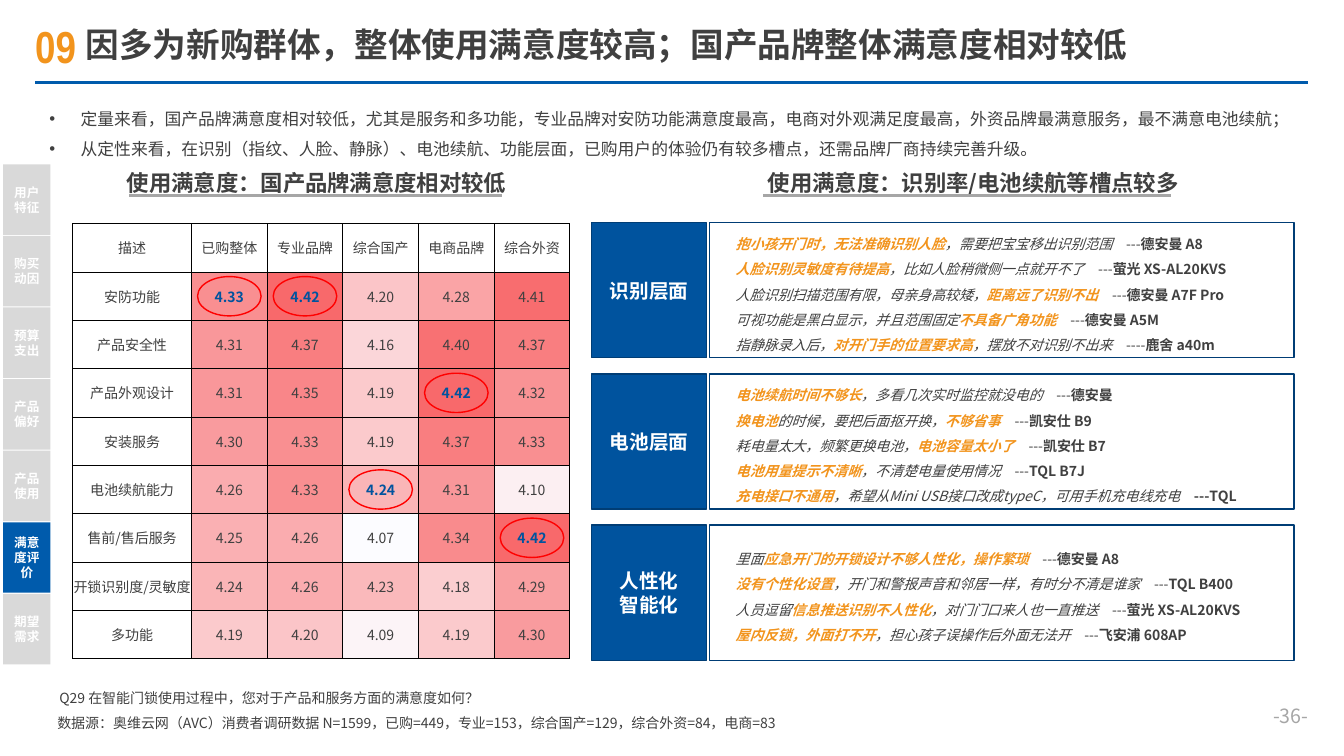
from lxml.etree import SubElement
from pptx import Presentation
from pptx.dml.color import RGBColor
from pptx.enum.shapes import MSO_CONNECTOR, MSO_SHAPE
from pptx.enum.text import MSO_ANCHOR, MSO_AUTO_SIZE, PP_ALIGN
from pptx.oxml.ns import qn
from pptx.util import Inches, Pt

SLIDE_W, SLIDE_H = Inches(13.333), Inches(7.5)
FONT = "Noto Sans CJK SC"
INK, ORANGE, BLUE, NAVY, EDGE = "404040", "F2941D", "005BAC", "00539E", "003D75"
GREY, PALE, WHITE = "A6A6A6", "D9D9D9", "FFFFFF"
LOW, HIGH = (4.07, "FCFCFF"), (4.42, "F8696B")

TABLE_LEFT, TABLE_TOP, TOPIC_W, SCORE_W, ROW_H = 5.4, 29.6, 8.85, 5.63, 6.39
RING_W, RING_H = 4.73, 5.2
PANEL_TOP, PANEL_PITCH, PANEL_H = 29.47, 20, 17.87
TAB_TOP, TAB_PITCH, TAB_H = 21.73, 9.47, 9.33

FINDINGS = [
    "定量来看，国产品牌满意度相对较低，尤其是服务和多功能，专业品牌对安防功能满意度最高，电商对外观满足度最高，外资品牌最满意服务，最不满意电池续航；",
    "从定性来看，在识别（指纹、人脸、静脉）、电池续航、功能层面，已购用户的体验仍有较多槽点，还需品牌厂商持续完善升级。",
]
CHAPTERS = ["用户特征", "购买动因", "预算支出", "产品偏好", "产品使用", "满意度评价", "期望需求"]
CURRENT_CHAPTER = "满意度评价"
BRAND_GROUPS = ["描述", "已购整体", "专业品牌", "综合国产", "电商品牌", "综合外资"]
SCORES = [
    ("安防功能", 4.33, 4.42, 4.20, 4.28, 4.41),
    ("产品安全性", 4.31, 4.37, 4.16, 4.40, 4.37),
    ("产品外观设计", 4.31, 4.35, 4.19, 4.42, 4.32),
    ("安装服务", 4.30, 4.33, 4.19, 4.37, 4.33),
    ("电池续航能力", 4.26, 4.33, 4.24, 4.31, 4.10),
    ("售前/售后服务", 4.25, 4.26, 4.07, 4.34, 4.42),
    ("开锁识别度/灵敏度", 4.24, 4.26, 4.23, 4.18, 4.29),
    ("多功能", 4.19, 4.20, 4.09, 4.19, 4.30),
]
RINGED = [(1, 1), (1, 2), (5, 3), (3, 4), (6, 5)]
OPINIONS = [
    (["识别层面"], [
        ("*抱小孩开门时，无法准确识别人脸*，需要把宝宝移出识别范围", "---", "德安曼 A8"),
        ("*人脸识别灵敏度有待提高*，比如人脸稍微侧一点就开不了", "---", "萤光 XS-AL20KVS"),
        ("人脸识别扫描范围有限，母亲身高较矮，*距离远了识别不出*", "---", "德安曼 A7F Pro"),
        ("可视功能是黑白显示，并且范围固定*不具备广角功能*", "---", "德安曼 A5M"),
        ("指静脉录入后，*对开门手的位置要求高*，摆放不对识别不出来", "----", "鹿舍 a40m"),
    ]),
    (["电池层面"], [
        ("*电池续航时间不够长*，多看几次实时监控就没电的", "---", "德安曼"),
        ("*换电池*的时候，要把后面抠开换，*不够省事*", "---", "凯安仕 B9"),
        ("耗电量太大，频繁更换电池，*电池容量太小了*", "---", "凯安仕 B7"),
        ("*电池用量提示不清晰*，不清楚电量使用情况", "---", "TQL B7J"),
        ("*充电接口不通用*，希望从Mini USB接口改成typeC，可用手机充电线充电", "", "---TQL"),
    ]),
    (["人性化", "智能化"], [
        ("里面*应急开门的开锁设计不够人性化，操作繁琐*", "---", "德安曼 A8"),
        ("*没有个性化设置*，开门和警报声音和邻居一样，有时分不清是谁家", "---", "TQL B400"),
        ("人员逗留*信息推送识别不人性化*，对门门口来人也一直推送", "---", "萤光 XS-AL20KVS"),
        ("*屋内反锁，外面打不开*，担心孩子误操作后外面无法开", "---", "飞安浦 608AP"),
    ]),
]


def across(share):
    return int(SLIDE_W * share / 100)


def down(share):
    return int(SLIDE_H * share / 100)


def area(left, top, width, height):
    return across(left), down(top), across(width), down(height)


def colour(value):
    return RGBColor.from_string(value)


def write(frame, paragraphs, size, ink=INK, bold=False, face=FONT, **layout):
    for index, parts in enumerate(paragraphs):
        paragraph = frame.paragraphs[0] if index == 0 else frame.add_paragraph()
        for key, value in layout.items():
            setattr(paragraph, key, value)
        for words, changes in [(parts, {})] if isinstance(parts, str) else parts:
            run = paragraph.add_run()
            run.text = words
            look = {"size": Pt(size), "bold": bold, "name": face, "ink": ink, **changes}
            run.font.color.rgb = colour(look.pop("ink"))
            for key, value in look.items():
                setattr(run.font, key, value)
            SubElement(run.font._element, qn("a:ea"), typeface=face)


def set_frame(frame, anchor=MSO_ANCHOR.TOP, wrap=True):
    settings = {"vertical_anchor": anchor, "word_wrap": wrap, "auto_size": MSO_AUTO_SIZE.NONE}
    for key, value in settings.items():
        setattr(frame, key, value)
    return frame


def add_label(slide, place, paragraphs, size, anchor=MSO_ANCHOR.TOP, wrap=True, **look):
    label = slide.shapes.add_textbox(*area(*place))
    write(set_frame(label.text_frame, anchor, wrap), paragraphs, size, **look)


def fill_placeholder(holder, place, paragraphs, size, anchor, **look):
    for key, value in zip(("left", "top", "width", "height"), area(*place)):
        setattr(holder, key, value)
    write(set_frame(holder.text_frame, anchor), paragraphs, size, **look)


def add_bullets(frame):
    for paragraph in frame.paragraphs:
        properties = paragraph._p.get_or_add_pPr()
        for key, value in {"marL": Inches(0.31), "indent": -Inches(0.31)}.items():
            properties.set(key, str(value))
        SubElement(properties, qn("a:buFont"), typeface="Arial")
        SubElement(properties, qn("a:buChar"), char="•")


def add_rule(slide, left, right, level, ink):
    rule = slide.shapes.add_connector(
        MSO_CONNECTOR.STRAIGHT, across(left), down(level), across(right), down(level))
    rule.line.color.rgb = colour(ink)
    rule.line.width = Pt(2.25)
    SubElement(rule._element.spPr, qn("a:effectLst"))


def add_block(shapes, kind, place, fill=None, edge=None, paragraphs=(), size=14):
    block = shapes.add_shape(kind, *area(*place))
    block.shadow.inherit = False
    if fill:
        block.fill.solid()
        block.fill.fore_color.rgb = colour(fill)
    else:
        block.fill.background()
    if edge:
        block.line.color.rgb = colour(edge)
        block.line.width = Pt(1)
    else:
        block.line.fill.background()
    write(set_frame(block.text_frame, MSO_ANCHOR.MIDDLE), paragraphs, size, WHITE, True,
          alignment=PP_ALIGN.CENTER)


def heat(score):
    share = (score - LOW[0]) / (HIGH[0] - LOW[0])
    ends = zip(bytes.fromhex(LOW[1]), bytes.fromhex(HIGH[1]))
    return "".join(f"{round(a + (b - a) * share):02X}" for a, b in ends)


def add_borders(cell):
    properties = cell._tc.get_or_add_tcPr()
    for index, side in enumerate(("lnL", "lnR", "lnT", "lnB")):
        border = properties.makeelement(qn(f"a:{side}"), {"w": str(Pt(0.5))})
        SubElement(SubElement(border, qn("a:solidFill")), qn("a:srgbClr"), val="000000")
        properties.insert(index, border)


def add_scores(slide):
    rows = [BRAND_GROUPS, *SCORES]
    place = TABLE_LEFT, TABLE_TOP, TOPIC_W + 5 * SCORE_W, ROW_H * len(rows)
    table = slide.shapes.add_table(len(rows), len(BRAND_GROUPS), *area(*place)).table
    table.first_row = table.horz_banding = False
    for index, column in enumerate(table.columns):
        column.width = across(SCORE_W if index else TOPIC_W)
    for r, values in enumerate(rows):
        table.rows[r].height = down(ROW_H)
        for c, value in enumerate(values):
            cell = table.cell(r, c)
            is_score = isinstance(value, float)
            ringed = (r, c) in RINGED
            for side in ("left", "right", "top", "bottom"):
                setattr(cell, f"margin_{side}", 0)
            cell.vertical_anchor = MSO_ANCHOR.MIDDLE
            cell.fill.solid()
            cell.fill.fore_color.rgb = colour(heat(value) if is_score else WHITE)
            write(cell.text_frame, [f"{value:.2f}" if is_score else value], 10,
                  NAVY if ringed else INK, ringed, alignment=PP_ALIGN.CENTER)
            add_borders(cell)
    for r, c in RINGED:
        left = TABLE_LEFT + TOPIC_W + (c - 0.5) * SCORE_W - RING_W / 2
        top = TABLE_TOP + (r + 0.5) * ROW_H - RING_H / 2
        add_block(slide.shapes, MSO_SHAPE.OVAL, (left, top, RING_W, RING_H), edge="FF0000")


def opinion_parts(opinion, dashes, speaker):
    stressed = {"ink": ORANGE, "bold": True, "italic": True}
    parts = [(words, stressed if index % 2 else {"italic": True})
             for index, words in enumerate(opinion.split("*")) if words]
    return parts + [("　" + dashes, {}), (speaker, {"bold": True})]


def add_opinions(slide):
    for index, (topic, opinions) in enumerate(OPINIONS):
        top = PANEL_TOP + index * PANEL_PITCH
        add_block(slide.shapes, MSO_SHAPE.RECTANGLE, (44.03, top, 8.55, PANEL_H), NAVY, EDGE, topic)
        add_block(slide.shapes, MSO_SHAPE.RECTANGLE, (52.8, top, 43.5, PANEL_H), edge=EDGE)
        add_label(slide, (54, top, 44.85, PANEL_H), [opinion_parts(*line) for line in opinions],
                  10, MSO_ANCHOR.MIDDLE, line_spacing=1.5)


def add_chapters(slide):
    chapters = slide.shapes.add_group_shape().shapes
    for index, chapter in enumerate(CHAPTERS):
        place = 0.23, TAB_TOP + index * TAB_PITCH, 3.53, TAB_H
        fill = BLUE if chapter == CURRENT_CHAPTER else PALE
        add_block(chapters, MSO_SHAPE.RECTANGLE, place, fill, None, [chapter], 9)


def main():
    deck = Presentation()
    deck.slide_width, deck.slide_height = SLIDE_W, SLIDE_H
    slide = deck.slides.add_slide(deck.slide_layouts[1])
    fill_placeholder(slide.shapes.title, (5.63, 3.2, 82.43, 6),
                     ["因多为新购群体，整体使用满意度较高；国产品牌整体满意度相对较低"], 24,
                     MSO_ANCHOR.MIDDLE, bold=True, alignment=PP_ALIGN.LEFT, line_spacing=0.9)
    findings = slide.placeholders[1]
    fill_placeholder(findings, (2.93, 12.4, 95.18, 8.93), FINDINGS, 12, MSO_ANCHOR.TOP,
                     line_spacing=1.5, space_before=Pt(0))
    add_bullets(findings.text_frame)
    add_rule(slide, 2.63, 97.35, 10.93, BLUE)
    add_label(slide, (1.88, 1.73, 4.65, 8.53), ["09"], 32, MSO_ANCHOR.MIDDLE, False,
              ink=ORANGE, bold=True, face="Arial Narrow")
    add_label(slide, (75.6, 92, 22.5, 5.33), ["-36-"], 14, MSO_ANCHOR.MIDDLE,
              ink=GREY, alignment=PP_ALIGN.RIGHT)
    for left, width, start, end, heading in (
            (8.7, 32.78, 9.6, 37.35, "使用满意度：国产品牌满意度相对较低"),
            (56.4, 35.93, 56.78, 87.15, "使用满意度：识别率/电池续航等槽点较多")):
        add_label(slide, (left, 21.73, width, 4.93), [heading], 16, bold=True)
        add_rule(slide, start, end, 25.87, GREY)
    add_chapters(slide)
    add_scores(slide)
    add_opinions(slide)
    add_label(slide, (3.68, 90.53, 50.03, 3.6),
              ["Q29 在智能门锁使用过程中，您对于产品和服务方面的满意度如何？"], 10)
    add_label(slide, (3.53, 93.87, 69.38, 3.6),
              ["数据源：奥维云网（AVC）消费者调研数据 N=1599，已购=449，专业=153，综合国产=129，综合外资=84，电商=83"], 10)
    deck.save("out.pptx")


if __name__ == "__main__":
    main()
